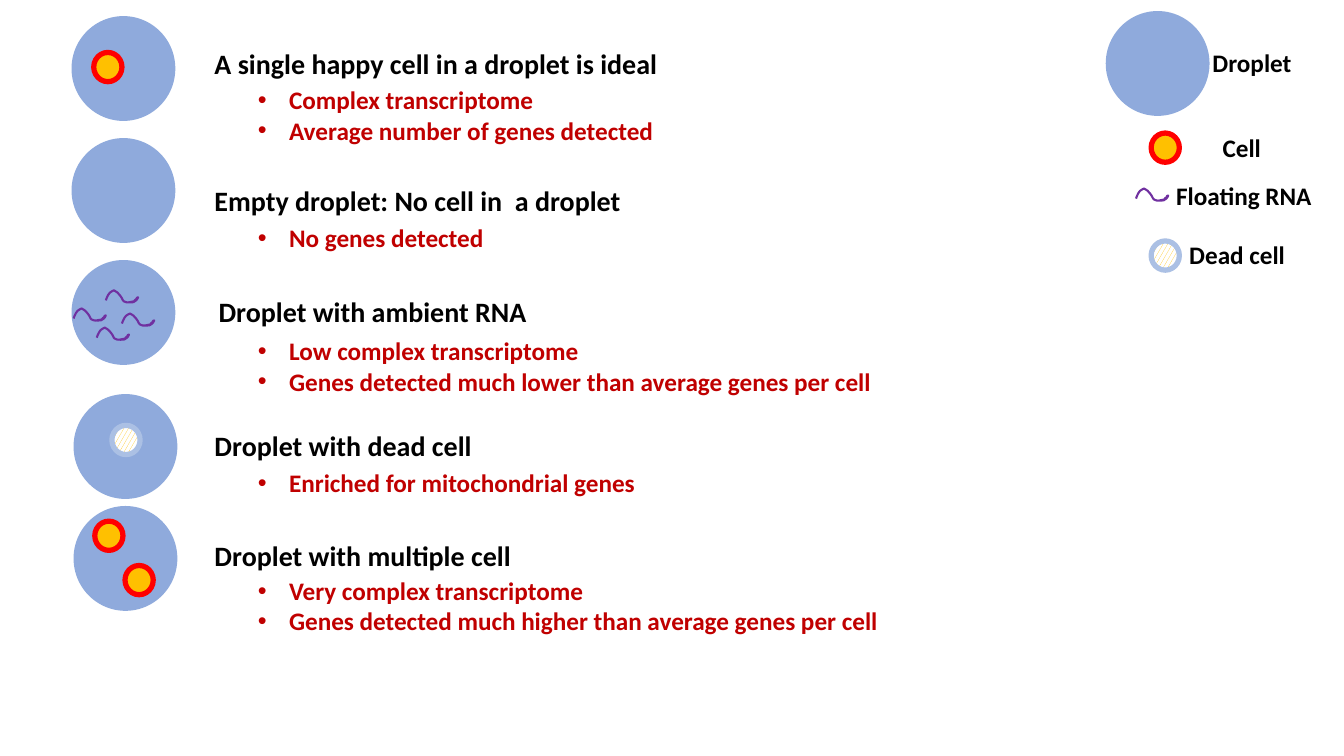
from lxml import etree
from pptx import Presentation
from pptx.dml.color import RGBColor
from pptx.enum.dml import MSO_PATTERN as Pat
from pptx.enum.shapes import MSO_SHAPE as Shape
from pptx.enum.text import MSO_AUTO_SIZE as Fit
from pptx.oxml.ns import qn
from pptx.util import Inches, Pt

BLUE, PALE, GOLD, RED = "8FAADC", "ABC0E4", "FFC000", "FF0000"
PURPLE, BLACK, DARK, WHITE = "7030A0", "000000", "C00000", "FFFFFF"
DROP = (1.03, 1.04)
CELL = (0.28, 0.29)
START = (0, 0.1)
WAVE = [
    [(.01, .07), (.03, .02), (.06, .01)],
    [(.08, 0)],
    [(.1, .01), (.13, .03), (.14, .05)],
    [(.15, .06), (.16, .08), (.17, .1)],
    [(.17, .1), (.18, .11), (.18, .11)],
    [(.2, .12), (.21, .12), (.22, .12)],
    [(.23, .12), (.27, .11), (.28, .11)],
    [(.29, .1), (.29, .09), (.3, .09)],
    [(.3, .08), (.32, .06), (.32, .07)],
    [(.32, .09), (.3, .09), (.3, .1)],
    [(.28, .12), (.27, .12), (.24, .12)],
    [(.24, .12), (.23, .12), (.23, .12)],
]


def color(code):
    return RGBColor.from_string(code)


def oval(home, x, y, size, fill, edge=None):
    item = home.add_shape(Shape.OVAL, Inches(x), Inches(y), *map(Inches, size))
    item.shadow.inherit = False
    item.fill.solid()
    item.fill.fore_color.rgb = color(fill)
    if edge:
        item.line.color.rgb = color(edge)
        item.line.width = Pt(3.75)
    else:
        item.line.fill.background()
    return item


def drop(home, x, y):
    oval(home, x, y, DROP, BLUE)


def cell(home, x, y):
    oval(home, x, y, CELL, GOLD, RED)


def dead(home, x, y):
    fill = oval(home, x, y, CELL, WHITE, PALE).fill
    fill.patterned()
    fill.pattern = Pat.LARGE_CONFETTI
    fill.fore_color.rgb = color(GOLD)
    fill.back_color.rgb = color(WHITE)


def bend(item):
    marks = list(item._element.iter(qn("a:lnTo")))
    for mark, part in zip(marks, WAVE):
        if len(part) == 3:
            curve = etree.Element(qn("a:cubicBezTo"))
            for a, b in part:
                spot = etree.SubElement(curve, qn("a:pt"))
                spot.set("x", str(Inches(a)))
                spot.set("y", str(Inches(b)))
            mark.getparent().replace(mark, curve)


def strand(home, x, y):
    ends = [(Inches(x + part[-1][0]), Inches(y + part[-1][1])) for part in WAVE]
    pen = home.build_freeform(Inches(x + START[0]), Inches(y + START[1]))
    pen.add_line_segments(ends, close=False)
    item = pen.convert_to_shape()
    bend(item)
    item.shadow.inherit = False
    item.fill.background()
    item.line.color.rgb = color(PURPLE)
    item.line.width = Pt(1.5)


def label(home, box, lines, size, tint, bullet=False):
    frame = home.add_textbox(*map(Inches, box)).text_frame
    frame.word_wrap = False
    frame.auto_size = Fit.SHAPE_TO_FIT_TEXT
    for n, line in enumerate(lines):
        para = frame.add_paragraph() if n else frame.paragraphs[0]
        run = para.add_run()
        run.text = line
        font = run.font
        font.name, font.size, font.bold = "Calibri", Pt(size), True
        font.color.rgb = color(tint)
        if bullet:
            props = para._p.get_or_add_pPr()
            props.set("marL", str(Inches(0.31)))
            props.set("indent", str(-Inches(0.31)))
            etree.SubElement(props, qn("a:buFont")).set("typeface", "Arial")
            etree.SubElement(props, qn("a:buChar")).set("char", "•")


def case(home, x, y, parts, title, notes):
    group = home.add_group_shape().shapes if parts else home
    drop(group, x, y)
    for draw, dx, dy in parts:
        draw(group, x + dx, y + dy)
    left, top, wide, text = title
    label(home, (left, y + top, wide, 0.44), [text], 20, BLACK)
    top, wide, lines = notes
    tall = 0.4 if len(lines) == 1 else 0.71
    label(home, (2.46, y + top, wide, tall), lines, 18, DARK, True)


def legend(home, x, y):
    rows = [
        (drop, 0, 0, 0.96, 0.31, 0.99, "Droplet"),
        (cell, 0.45, 1.21, 1.06, 1.15, 0.58, "Cell"),
        (strand, 0.3, 1.76, 0.6, 1.63, 1.56, "Floating RNA"),
        (dead, 0.45, 2.28, 0.73, 2.22, 1.16, "Dead cell"),
    ]
    for draw, dx, dy, left, top, wide, text in rows:
        draw(home, x + dx, y + dy)
        label(home, (x + left, y + top, wide, 0.4), [text], 18, BLACK)


CASES = [
    (0.71, 0.16, [(cell, 0.22, 0.36)],
     (2.03, 0.25, 4.63, "A single happy cell in a droplet is ideal"),
     (0.63, 4.15, ["Complex transcriptome", "Average number of genes detected"])),
    (0.71, 1.37, [],
     (2.03, 0.4, 4.26, "Empty droplet: No cell in  a droplet"),
     (0.79, 2.46, ["No genes detected"])),
    (0.71, 2.58,
     [(strand, 0.34, 0.3), (strand, 0.5, 0.53), (strand, 0.25, 0.67), (strand, 0.02, 0.48)],
     (2.07, 0.29, 3.28, "Droplet with ambient RNA"),
     (0.7, 6.39, ["Low complex transcriptome",
                  "Genes detected much lower than average genes per cell"])),
    (0.73, 3.91, [(dead, 0.38, 0.31)],
     (2.03, 0.29, 2.77, "Droplet with dead cell"),
     (0.68, 3.97, ["Enriched for mitochondrial genes"])),
    (0.73, 5.02, [(cell, 0.21, 0.15), (cell, 0.51, 0.59)],
     (2.03, 0.27, 3.16, "Droplet with multiple cell"),
     (0.64, 6.46, ["Very complex transcriptome",
                   "Genes detected much higher than average genes per cell"])),
]


def main():
    deck = Presentation()
    deck.slide_width, deck.slide_height = Inches(40 / 3), Inches(7.5)
    home = deck.slides.add_slide(deck.slide_layouts[6]).shapes
    for row in CASES:
        case(home, *row)
    legend(home, 10.97, 0.11)
    deck.save("out.pptx")


if __name__ == "__main__":
    main()
